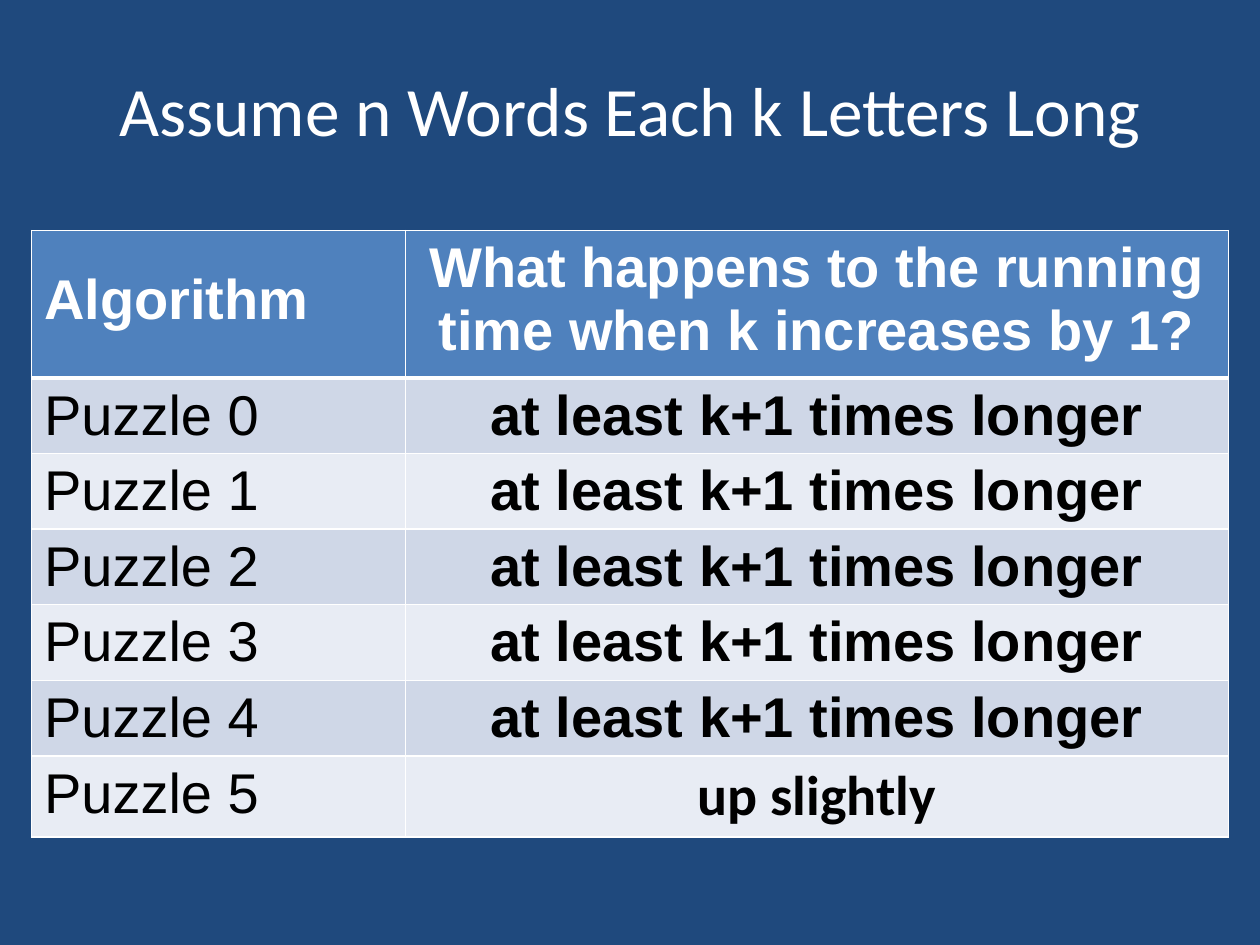
import pptx
import pptx.util
import pptx.dml.color
import pptx.enum.text
import pptx.oxml.ns
from lxml import etree

Inches = pptx.util.Inches
ALIGN = pptx.enum.text.PP_ALIGN
ANCHOR = pptx.enum.text.MSO_ANCHOR

COLOURS = {
    "page": "1F497D",
    "white": "FFFFFF",
    "black": "000000",
    "header": "4F81BD",
    "odd": "CFD7E7",
    "even": "E8ECF4",
}
LONGER = "at least k+1 times longer"
HEADINGS = ("Algorithm", "What happens to the running time when k increases by 1?")
RESULTS = [LONGER] * 5 + ["up slightly"]


def colour(name):
    return pptx.dml.color.RGBColor.from_string(COLOURS[name])


def set_values(target, values):
    for name, value in values.items():
        setattr(target, name, value)


def write(frame, text, align, ink, **font_values):
    frame.text = text
    para = frame.paragraphs[0]
    para.alignment = align
    span = para.runs[0]
    set_values(span.font, font_values)
    span.font.color.rgb = colour(ink)


def set_borders(cell, widths):
    """Draw white cell borders; widths maps a side to points."""
    properties = cell._tc.get_or_add_tcPr()
    for side, points in widths.items():
        line = etree.SubElement(properties, pptx.oxml.ns.qn(f"a:ln{side}"),
                                w=str(pptx.util.Pt(points)))
        fill = etree.SubElement(line, pptx.oxml.ns.qn("a:solidFill"))
        etree.SubElement(fill, pptx.oxml.ns.qn("a:srgbClr"), val=COLOURS["white"])


def place_title(page, left, top, width, height):
    title = page.shapes.title
    set_values(title, {"left": left, "top": top, "width": width, "height": height})
    frame = title.text_frame
    set_values(frame, {"word_wrap": True, "vertical_anchor": ANCHOR.MIDDLE,
                       "auto_size": pptx.enum.text.MSO_AUTO_SIZE.NONE})
    write(frame, "Assume n Words Each k Letters Long", ALIGN.CENTER, "white",
          name="Calibri", size=pptx.util.Pt(39.6), bold=False)


def place_table(page, left, top, width, height):
    rows = [HEADINGS] + [(f"Puzzle {number}", result)
                         for number, result in enumerate(RESULTS)]
    header_height, first_width = Inches(1.17), Inches(2.97)
    table = page.shapes.add_table(len(rows), 2, left, top, width, height).table
    table.columns[0].width = first_width
    table.columns[1].width = width - first_width

    for row_index, texts in enumerate(rows):
        is_header = row_index == 0
        table.rows[row_index].height = (
            header_height if is_header else (height - header_height) // len(RESULTS))
        shade = "header" if is_header else ("odd" if row_index % 2 else "even")
        for column_index, text in enumerate(texts):
            cell = table.cell(row_index, column_index)
            set_borders(cell, {"L": 1, "R": 1, "T": 3 if row_index == 1 else 1,
                               "B": 3 if is_header else 1})
            cell.fill.solid()
            cell.fill.fore_color.rgb = colour(shade)
            write(cell.text_frame, text,
                  ALIGN.CENTER if column_index else ALIGN.LEFT,
                  "white" if is_header else "black",
                  name="Calibri" if text == RESULTS[-1] else "Arial",
                  size=pptx.util.Pt(32), bold=is_header or column_index == 1)
    # The short heading sits level with the middle of the two-line one
    table.cell(0, 0).margin_top = Inches(0.3)


def main():
    deck = pptx.Presentation()
    set_values(deck, {"slide_width": Inches(10), "slide_height": Inches(7.5)})
    page = deck.slides.add_slide(deck.slide_layouts[5])
    page.background.fill.solid()
    page.background.fill.fore_color.rgb = colour("page")

    place_title(page, Inches(0.5), Inches(0.47), Inches(9), Inches(0.78))
    place_table(page, Inches(0.25), Inches(1.83), Inches(9.5), Inches(4.77))
    deck.save("out.pptx")


if __name__ == "__main__":
    main()
